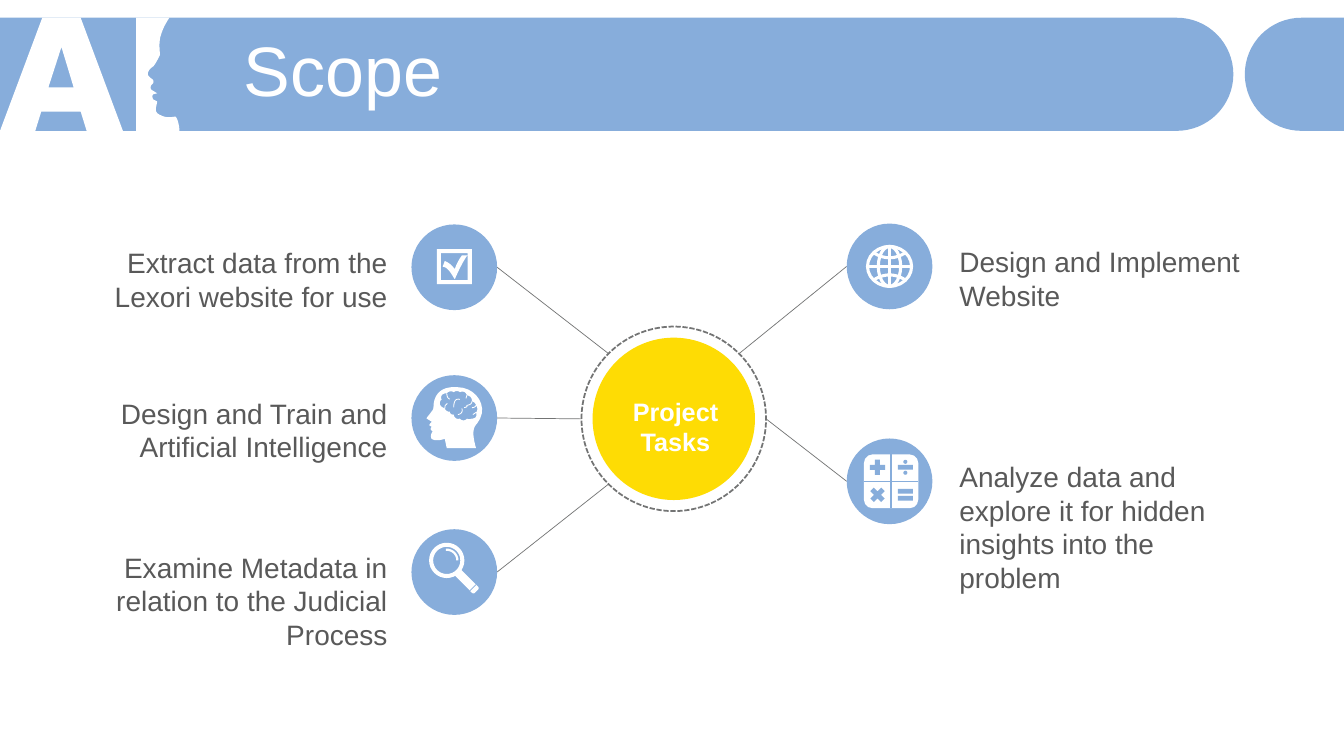
from dataclasses import dataclass
from math import cos, radians, sin

from lxml import etree
from pptx import Presentation
from pptx.dml.color import RGBColor
from pptx.enum.dml import MSO_LINE
from pptx.enum.shapes import MSO_CONNECTOR, MSO_SHAPE
from pptx.enum.text import MSO_ANCHOR, MSO_AUTO_SIZE, PP_ALIGN
from pptx.oxml.ns import qn
from pptx.util import Pt

OVAL, RECT, CROSS = MSO_SHAPE.OVAL, MSO_SHAPE.RECTANGLE, MSO_SHAPE.CROSS
ROUNDED = MSO_SHAPE.ROUNDED_RECTANGLE
LEFT, RIGHT, CENTER = PP_ALIGN.LEFT, PP_ALIGN.RIGHT, PP_ALIGN.CENTER
STRAIGHT, DASH = MSO_CONNECTOR.STRAIGHT, MSO_LINE.SQUARE_DOT
TOP, MIDDLE = MSO_ANCHOR.TOP, MSO_ANCHOR.MIDDLE
GROW, FIXED = MSO_AUTO_SIZE.SHAPE_TO_FIT_TEXT, MSO_AUTO_SIZE.NONE


@dataclass(frozen=True)
class Theme:
    blue: str = "87ADDB"
    yellow: str = "FEDC04"
    white: str = "FFFFFF"
    gray: str = "737474"
    body: str = "595959"
    font: str = "Arial"
    title_size: int = 50
    label_size: int = 20
    hub_size: int = 18


T = Theme()
DISC = 61.2  # diameter of a task disc


# Drawing helpers
def paint(sp, fill=None, line=None, width=0.5):
    sp.shadow.inherit = False
    if fill:
        sp.fill.solid()
        sp.fill.fore_color.rgb = RGBColor.from_string(fill)
    else:
        sp.fill.background()
    if line:
        sp.line.color.rgb = RGBColor.from_string(line)
        sp.line.width = Pt(width)
    else:
        sp.line.fill.background()
    return sp


def centred(s, kind, cx, cy, w, h, **look):
    sp = s.shapes.add_shape(kind, Pt(cx - w / 2), Pt(cy - h / 2), Pt(w), Pt(h))
    return paint(sp, **look)


def connect(s, x1, y1, x2, y2, color, width=0.5):
    sp = s.shapes.add_connector(STRAIGHT, Pt(x1), Pt(y1), Pt(x2), Pt(y2))
    sp.line.color.rgb = RGBColor.from_string(color)
    sp.line.width = Pt(width)
    etree.SubElement(sp._element.spPr, qn("a:effectLst"))


def arc(cx, cy, r, start, end):
    angles = [radians(start + (end - start) * i / 32) for i in range(33)]
    return [(cx + r * cos(a), cy + r * sin(a)) for a in angles]


def flatten(steps):
    """Pairs are corners; sixes are Bezier curves from the point before."""
    pts = [steps[0]]
    for step in steps[1:]:
        if len(step) == 2:
            pts.append(step)
            continue
        p0, p1, p2, p3 = pts[-1], step[:2], step[2:4], step[4:]
        for t in (i / 10 for i in range(1, 11)):
            u = 1 - t
            pts.append(tuple(u**3 * a + 3 * u * u * t * b + 3 * u * t * t * c + t**3 * d
                             for a, b, c, d in zip(p0, p1, p2, p3)))
    return pts


def outline(s, x, y, contours, closed=True, **look):
    fb = None
    for contour in contours:
        pts = [(Pt(x + px), Pt(y + py)) for px, py in flatten(contour)]
        if fb is None:
            fb = s.shapes.build_freeform(*pts[0])
        else:
            fb.move_to(*pts[0])
        fb.add_line_segments(pts[1:], close=closed)
    return paint(fb.convert_to_shape(), **look)


def write(s, box, text, size, color, align=LEFT, anchor=TOP, fit=GROW, bold=False, spacing=1.0):
    tf = s.shapes.add_textbox(*map(Pt, box)).text_frame
    for name, value in dict(word_wrap=True, vertical_anchor=anchor, auto_size=fit).items():
        setattr(tf, name, value)
    p = tf.paragraphs[0]
    p.alignment, p.line_spacing = align, spacing
    r = p.add_run()
    r.text = text
    for name, value in dict(name=T.font, size=Pt(size), bold=bold).items():
        setattr(r.font, name, value)
    r.font.color.rgb = RGBColor.from_string(color)


# Icons, each around the centre of its disc
def check_icon(s, x, y):
    squares = [[(-a, -a), (a, -a), (a, a), (-a, a)] for a in (12.5, 9.6)]
    tick = [(-8.3, 0), (-6.8, -4), (-3.2, -2.5, -1.8, -1, 0.4, 1.8), (1.8, -2.5, 3.2, -4.7, 5.4, -8),
            (9.3, -8), (5.8, -3, 3, 3, 0.4, 9), (-1.8, 6, -4, 0.5, -8.3, 0)]
    outline(s, x, y - 0.4, squares + [tick], fill=T.white)


def globe_icon(s, x, y):
    for w in (31.5, 16):
        centred(s, OVAL, x, y, w, 28.5, line=T.white, width=2.2)
    connect(s, x, y - 14, x, y + 14, T.white, 2.2)
    connect(s, x - 15, y, x + 15, y, T.white, 2.2)
    parallels = [[(-11, 9.5 * k), (-4, 5 * k, 4, 5 * k, 11, 9.5 * k)] for k in (-1, 1)]
    outline(s, x, y, parallels, closed=False, line=T.white, width=2.2)


def brain_icon(s, x, y):
    head = [(2.5, -22), (15.5, -22, 25.6, -7.6, 16.2, 4), (13.3, 6.8, 12.6, 11.2, 15.5, 21.4),
            (-5.4, 21.4), (-6.8, 14.8), (-10.4, 16.2, -14.8, 16.2, -16.2, 14.8),
            (-16.9, 14, -16.9, 11.2, -15.5, 9.7), (-15.5, 9, -16.9, 9, -16.9, 7.6), (-16.2, 6.1),
            (-17.6, 5.4), (-18.4, 4.7, -16.2, 3.2, -16.2, 2.5), (-17.6, 1.8, -18.4, 1.1, -19.8, 0.4),
            (-19.8, -0.4, -17.6, -2.5, -16.2, -4.7), (-14, -6.8, -15.5, -9, -14, -13.3),
            (-11.9, -19.8, -6.1, -22.7, 2.5, -22)]
    brain = [(-0.4, -18.4), (-2, -19.6, -4, -19.2, -5.4, -17.6), (-7, -17.8, -8.5, -17, -9, -16.2),
             (-9.6, -15, -9.5, -14, -9, -13.3), (-10.8, -12, -11, -9, -8.3, -7.6), (-6.8, -6.8),
             (-6, -5, -4.5, -4.4, -3.2, -4.5), (-3, -3, -2, -2.3, -0.4, -2.5),
             (0, 0.2, 2, 1, 4, 0.4), (5, 2, 8, 2.2, 9, 0.4), (10, 1, 11.5, 0.8, 12.6, 0.4),
             (15.5, 0.5, 16.5, -2, 15.5, -4), (16.8, -5.5, 16.8, -7.5, 15.5, -9),
             (15.3, -10.5, 14, -11.6, 12.6, -11.9), (12.8, -14, 11.5, -16, 9, -16.2),
             (8.5, -18.6, 6, -19.6, 4, -18.4), (3, -19.6, 1, -19.6, -0.4, -18.4)]
    folds = [[(-5.4, -17.6), (-5.2, -15, -4.5, -14, -3.2, -13.5)],
             [(-6.8, -6.8), (-6.5, -9), (-5, -10.4)],
             [(-0.4, -7.6), (-0.4, -10, 0, -14.5, 4, -13.3)],
             [(2.5, -2.5), (4, -2.5, 6.5, -4, 5.4, -6.8)],
             [(7, -7.4), (9, -8), (9, -9), (11, -9.5, 12.5, -10, 12.6, -11.9)],
             [(12.6, -7.4), (14, -7.4, 15, -8, 15.5, -9)],
             [(13.3, -2.5), (15.5, -4)], [(9, -16.2), (8.3, -14)]]
    outline(s, x, y, [head, brain], fill=T.white)
    outline(s, x, y, folds, closed=False, line=T.white, width=0.6)


def magnifier_icon(s, x, y):
    lens = (-5.4, -8.3)
    outline(s, x, y, [arc(*lens, r, 0, 360) for r in (12.6, 9.7)], fill=T.white)
    outline(s, x, y, [arc(*lens, 7.6, -95, 0)], closed=False, line=T.white, width=1.6)
    handle = [(0.4, 2.5), (4.7, -1.8), (16.9, 10.4), (17.6, 11.2, 17.6, 12, 16.9, 12.6),
              (14.8, 14.8), (14, 15.5, 13.3, 15.5, 12.6, 14.8)]
    outline(s, x, y, [handle], fill=T.white)
    connect(s, x + 15.5, y + 9, x + 11.2, y + 13.3, T.blue)


def calculator_icon(s, x, y):
    x += 1.1
    sp = centred(s, ROUNDED, x, y, 38.8, 38.4, fill=T.white)
    sp.adjustments[0] = 0.16
    connect(s, x - 19.4, y, x + 19.4, y, T.blue, 0.9)
    connect(s, x, y - 19.2, x, y + 19.2, T.blue, 0.9)
    for dy, turn in ((-10, 0), (9.7, 45)):
        sp = centred(s, CROSS, x - 9.7, y + dy, 11, 11, fill=T.blue)
        sp.adjustments[0], sp.rotation = 0.34, turn
    for dy in (-10, 7.2, 12.2):
        centred(s, RECT, x + 10.2, y + dy, 10.8, 3.4, fill=T.blue)
    for dy in (-13.9, -6.1):
        centred(s, OVAL, x + 10.2, y + dy, 2.9, 2.9, fill=T.blue)


# Regions
def header(s, x, y, w, h, title):
    r, bar, gap = h / 2, 881, 8.2
    outline(s, x, y, [[(0, 0)] + arc(bar - r, r, r, -90, 90) + [(0, h)]], fill=T.blue)
    outline(s, x, y, [[(w, h)] + arc(bar + gap + r, r, r, 90, 270) + [(w, 0)]], fill=T.blue)
    letter_a = [(30.2, 0), (57.6, 0), (87.8, h), (61.9, h), (57.6, 67), (29.5, 67), (25.2, h), (0, h)]
    counter = [(43.9, 20.9), (34.6, 49.7), (52.6, 49.7)]
    profile = [(97.2, 0), (121, 0), (117, 6, 116, 9, 114.5, 13.7), (113.5, 19, 114, 22, 114.3, 26.6),
               (113, 29, 110.5, 34.5, 108.7, 35.3), (106.5, 36.7, 105, 39.6, 105.8, 41),
               (106.5, 42.5, 108, 43.2, 108.7, 43.9), (109.8, 44.6, 109.8, 46, 109.4, 46.8), (108, 48.2),
               (107.3, 49.7, 107.3, 51, 108.7, 51.8), (112.3, 54), (109.4, 54.7),
               (108.7, 55.5, 108.7, 57, 109.4, 58.3), (112.3, 59.8), (111.6, 63.4),
               (110.9, 65.5, 110.9, 68.4, 115.2, 69.8), (118, 71.3, 121, 71.3, 125.3, 70.6),
               (127, 72, 128, 77, 128.2, h), (97.2, h)]
    outline(s, x, y, [letter_a, counter, profile], fill=T.white)
    write(s, (x + 167, y + 13.6, 752, 57), title, T.title_size, T.white,
          anchor=MIDDLE, fit=FIXED, spacing=0.8)


def hub(s, cx, cy, r, text):
    centred(s, OVAL, cx, cy, 116, 116, fill=T.yellow)
    sp = centred(s, OVAL, cx, cy, 2 * r, 2 * r, line=T.gray, width=1.25)
    sp.line.dash_style = DASH
    write(s, (cx - 55, cy - 19.8, 112.4, 51), text, T.hub_size, T.white, CENTER, bold=True)


def task(s, x, y, text, lines, align, icon, ring, angle):
    """Disc with its top left at x, y, its label outside and a link to the hub ring."""
    on_left, mid = align == RIGHT, y + DISC / 2
    cx, cy, r = ring
    a = radians(angle)
    connect(s, x + DISC if on_left else x, mid, cx + r * cos(a), cy + r * sin(a), T.gray)
    centred(s, OVAL, x + DISC / 2, mid, DISC, DISC, fill=T.blue)
    icon(s, x + DISC / 2, mid)
    label_x = x - 225 if on_left else x + 73.4
    write(s, (label_x, y + 11.5, 215, 7.2 + 24.1 * lines), text, T.label_size, T.body, align)


def main():
    prs = Presentation()
    prs.slide_width, prs.slide_height = Pt(960), Pt(540)
    s = prs.slides.add_slide(prs.slide_layouts[6])
    header(s, 0, 12.7, 960, 80.8, "Scope")
    ring = (481.3, 299.2, 65.9)
    hub(s, *ring, "Project Tasks")
    for row in (
        (293.9, 160.3, "Extract data from the Lexori website for use", 2, RIGHT, check_icon, ring, 225),
        (293.9, 268, "Design and Train and Artificial Intelligence", 2, RIGHT, brain_icon, ring, 180),
        (293.9, 378, "Examine Metadata in relation to the Judicial Process", 3, RIGHT, magnifier_icon, ring, 135),
        (604.8, 159.7, "Design and Implement Website", 2, LEFT, globe_icon, ring, 315),
        (604.8, 313.2, "Analyze data and explore it for hidden insights into the problem", 4, LEFT,
         calculator_icon, ring, 0),
    ):
        task(s, *row)
    prs.save("out.pptx")


if __name__ == "__main__":
    main()
